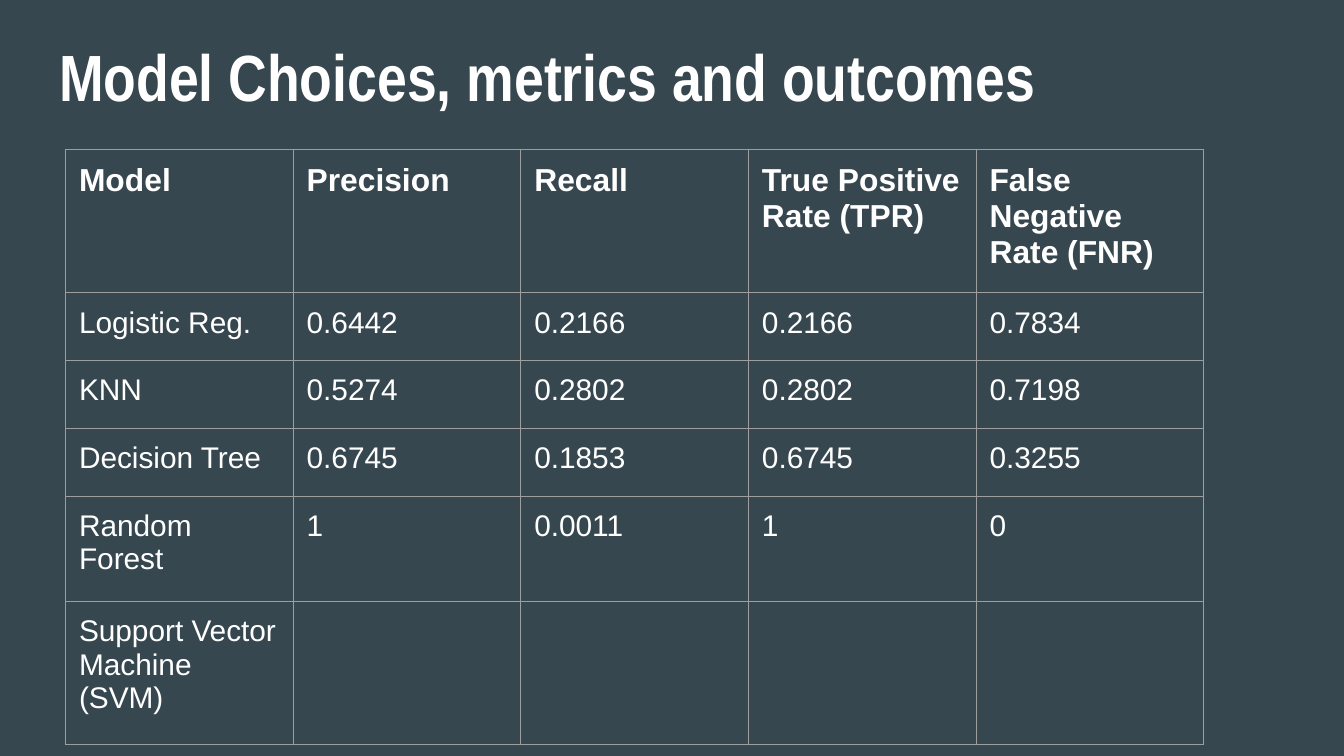
from dataclasses import dataclass

from lxml import etree
from pptx import Presentation
from pptx import util as u
from pptx.dml.color import RGBColor
from pptx.enum import text
from pptx.oxml import ns


@dataclass(frozen=True)
class Theme:
    background: str = "37474F"
    ink: str = "FFFFFF"
    rule: str = "9E9E9E"
    rule_width: float = 0.75
    title_font: str = "Arial Narrow"
    body_font: str = "Arial"
    title_size: int = 35
    header_size: int = 17
    body_size: int = 16
    inset: int = 1


class SlideBuilder:
    """Draws themed elements on a slide, measured on a grid of 100 columns."""

    def __init__(self, prs, theme):
        self.theme = theme
        self.unit = prs.slide_width / 100
        self.s = prs.slides.add_slide(prs.slide_layouts[6])
        fill = self.s.background.fill
        fill.solid()
        fill.fore_color.rgb = RGBColor.from_string(theme.background)

    def grid(self, *counts):
        return [u.Emu(round(count * self.unit)) for count in counts]

    def style(self, p, font, size, bold):
        p.font.name = font
        p.font.size = u.Pt(size)
        p.font.bold = bold
        p.font.color.rgb = RGBColor.from_string(self.theme.ink)

    def inset(self, frame):
        margin, = self.grid(self.theme.inset)
        frame.margin_left = frame.margin_right = margin
        frame.margin_top = frame.margin_bottom = margin

    def title(self, words, left, top, width, height):
        sp = self.s.shapes.add_textbox(*self.grid(left, top, width, height))
        tf = sp.text_frame
        tf.word_wrap = True
        tf.vertical_anchor = text.MSO_ANCHOR.TOP
        self.inset(tf)
        p = tf.paragraphs[0]
        p.text = words
        self.style(p, self.theme.title_font, self.theme.title_size, True)

    def borders(self, cell):
        tc_pr = cell._tc.get_or_add_tcPr()
        for i, side in enumerate(("lnL", "lnR", "lnT", "lnB")):
            ln = etree.Element(ns.qn(f"a:{side}"), w=str(u.Pt(self.theme.rule_width)))
            solid = etree.SubElement(ln, ns.qn("a:solidFill"))
            etree.SubElement(solid, ns.qn("a:srgbClr"), val=self.theme.rule)
            tc_pr.insert(i, ln)

    def table(self, rows, left, top, col_width, row_heights):
        cols = len(rows[0])
        box = self.grid(left, top, col_width * cols, sum(row_heights))
        table = self.s.shapes.add_table(len(rows), cols, *box).table
        table.first_row = table.horz_banding = False
        for column in table.columns:
            column.width, = self.grid(col_width)
        for i, (values, height) in enumerate(zip(rows, row_heights)):
            table.rows[i].height, = self.grid(height)
            size = self.theme.body_size if i else self.theme.header_size
            for cell, value in zip(table.rows[i].cells, values):
                self.inset(cell)
                cell.fill.background()
                self.borders(cell)
                p = cell.text_frame.paragraphs[0]
                p.text = value
                self.style(p, self.theme.body_font, size, i == 0)


METRICS = [
    ("Model", "Precision", "Recall", "True Positive Rate (TPR)", "False Negative Rate (FNR)"),
    ("Logistic Reg.", "0.6442", "0.2166", "0.2166", "0.7834"),
    ("KNN", "0.5274", "0.2802", "0.2802", "0.7198"),
    ("Decision Tree", "0.6745", "0.1853", "0.6745", "0.3255"),
    ("Random Forest", "1", "0.0011", "1", "0"),
    ("Support Vector Machine (SVM)", "", "", "", ""),
]


def main():
    prs = Presentation()
    prs.slide_width = u.Inches(10)
    prs.slide_height = prs.slide_width * 9 // 16
    slide = SlideBuilder(prs, Theme())
    slide.title("Model Choices, metrics and outcomes", 3.41, 1.7, 93.2, 7.8)
    slide.table(METRICS, 4.88, 11.13, 16.94, [10.65, 5.05, 5.05, 5.05, 7.85, 10.65])
    prs.save("out.pptx")


if __name__ == "__main__":
    main()
